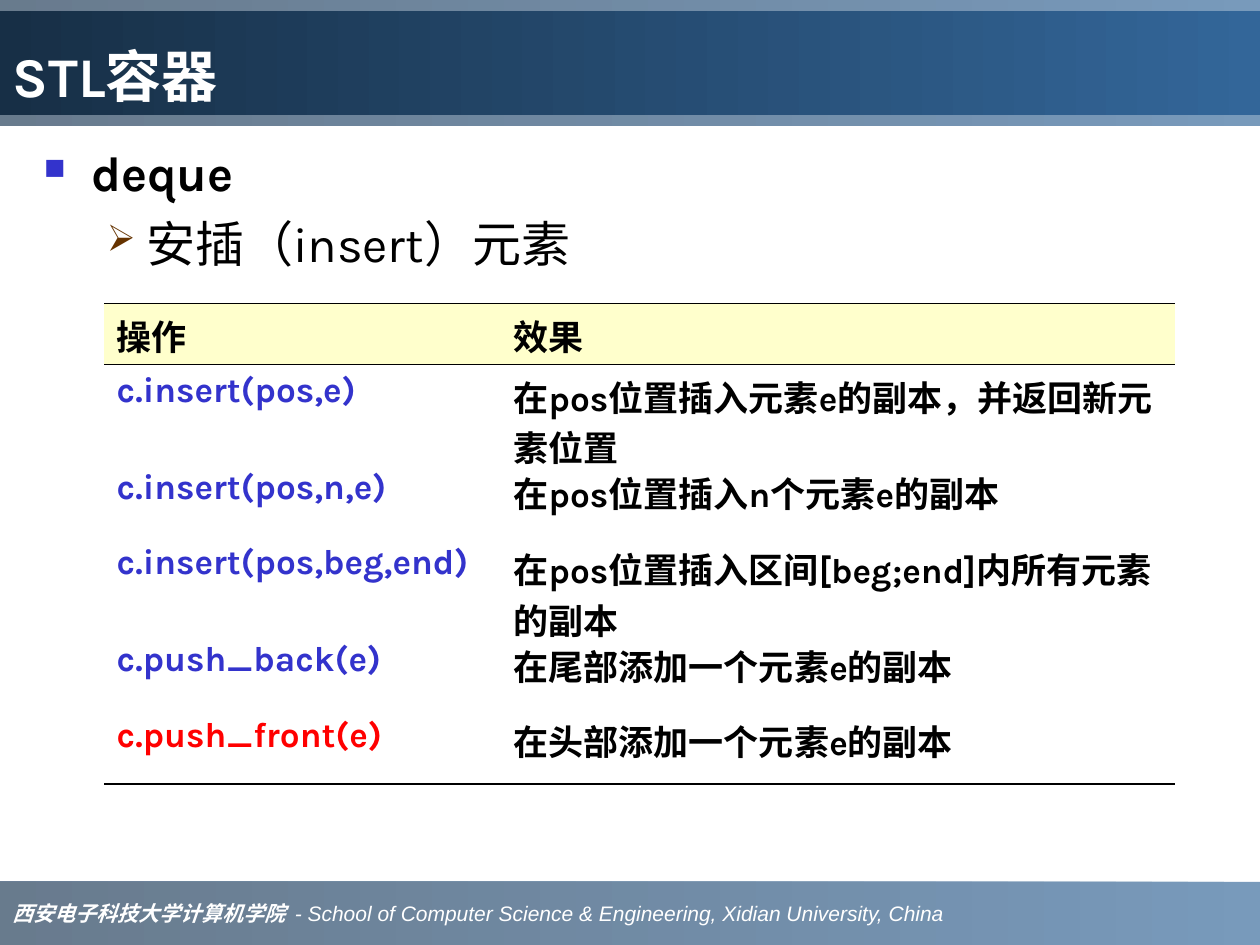
from dataclasses import dataclass

from lxml.etree import SubElement
from pptx import Presentation
from pptx.dml.color import RGBColor
from pptx.enum.shapes import MSO_SHAPE
from pptx.enum.text import MSO_ANCHOR, MSO_AUTO_SIZE, PP_ALIGN
from pptx.oxml.ns import qn
from pptx.util import Pt

WIDTH, HEIGHT = 720, 540


@dataclass(frozen=True)
class Theme:
    font: str = "Karla"
    footer_font: str = "Arial"
    footer_cjk_font: str = "Times New Roman"
    title_size: int = 32
    body_size: int = 28
    table_size: int = 20
    footer_size: int = 12
    white: str = "FFFFFF"
    black: str = "000000"
    blue: str = "3333CC"
    red: str = "FF0000"
    brown: str = "663300"
    header_fill: str = "FFFFCC"
    band_light: str = "336699"
    band_dark: str = "1B3753"
    title_dark: str = "172F46"
    band_opacity: int = 66


@dataclass(frozen=True)
class Bullet:
    character: str
    color: str
    percent: int
    left: float
    hanging: float


class SlideBuilder:
    def __init__(self, slide, theme):
        self.slide = slide
        self.theme = theme

    def add_run(self, paragraph, text, size, color, font=None, bold=True, italic=False):
        run = paragraph.add_run()
        run.text = text
        run.font.name = font or self.theme.font
        run.font.size = Pt(size)
        run.font.bold = bold
        run.font.italic = italic
        run.font.color.rgb = RGBColor.from_string(color)

    def fill_gradient(self, shape, dark, opacity=100):
        """Fade from dark at the left to the light band colour at the right."""
        shape.fill.gradient()
        shape.fill.gradient_angle = 180
        for stop, color in zip(shape.fill.gradient_stops, (self.theme.band_light, dark)):
            stop.color.rgb = RGBColor.from_string(color)
        if opacity < 100:
            for color in shape.element.spPr.iter(qn("a:srgbClr")):
                SubElement(color, qn("a:alpha"), val=str(opacity * 1000))

    def add_band(self, top, height):
        shape = self.slide.shapes.add_shape(
            MSO_SHAPE.RECTANGLE, 0, Pt(top), Pt(WIDTH), Pt(height))
        shape.shadow.inherit = False
        shape.line.fill.background()
        self.fill_gradient(shape, self.theme.band_dark, self.theme.band_opacity)
        return shape

    def add_footer(self, top, height, cjk_text, latin_text):
        frame = self.add_band(top, height).text_frame
        frame.word_wrap = True
        frame.vertical_anchor = MSO_ANCHOR.MIDDLE
        paragraph = frame.paragraphs[0]
        paragraph.alignment = PP_ALIGN.LEFT
        theme = self.theme
        self.add_run(paragraph, cjk_text, theme.footer_size, theme.white,
                     theme.footer_cjk_font, italic=True)
        self.add_run(paragraph, latin_text, theme.footer_size, theme.white,
                     theme.footer_font, bold=False, italic=True)

    def set_title(self, text, top, height):
        """Format the title placeholder and bring it in front of the bands."""
        title = self.slide.shapes.title
        title.left, title.top = Pt(0), Pt(top)
        title.width, title.height = Pt(WIDTH), Pt(height)
        self.fill_gradient(title, self.theme.title_dark)
        frame = title.text_frame
        frame.auto_size = MSO_AUTO_SIZE.NONE
        frame.vertical_anchor = MSO_ANCHOR.BOTTOM
        paragraph = frame.paragraphs[0]
        paragraph.alignment = PP_ALIGN.LEFT
        self.add_run(paragraph, text, self.theme.title_size, self.theme.white)
        title.element.getparent().append(title.element)

    def set_bullet(self, paragraph, bullet):
        properties = paragraph._p.get_or_add_pPr()
        properties.set("marL", str(Pt(bullet.left)))
        properties.set("indent", str(-Pt(bullet.hanging)))
        color = SubElement(properties, qn("a:buClr"))
        SubElement(color, qn("a:srgbClr"), val=bullet.color)
        SubElement(properties, qn("a:buSzPct"), val=str(bullet.percent * 1000))
        SubElement(properties, qn("a:buChar"), char=bullet.character)

    def add_outline(self, left, top, width, height, items):
        """Add bulleted lines given as (text, level, bold, bullet)."""
        box = self.slide.shapes.add_textbox(Pt(left), Pt(top), Pt(width), Pt(height))
        frame = box.text_frame
        frame.word_wrap = True
        for index, (text, level, bold, bullet) in enumerate(items):
            paragraph = frame.add_paragraph() if index else frame.paragraphs[0]
            self.set_bullet(paragraph, bullet)
            paragraph.level = level
            if index:
                paragraph.space_before = Pt(7)
            self.add_run(paragraph, text, self.theme.body_size, self.theme.black, bold=bold)

    def set_borders(self, cell, top=0, bottom=0):
        """Draw the top and bottom edges that have a width; clear all others."""
        properties = cell._tc.get_or_add_tcPr()
        widths = {"a:lnL": 0, "a:lnR": 0, "a:lnT": top, "a:lnB": bottom}
        for position, (tag, width) in enumerate(widths.items()):
            line = SubElement(properties, qn(tag), w=str(Pt(width)))
            properties.insert(position, line)
            if width:
                fill = SubElement(line, qn("a:solidFill"))
                SubElement(fill, qn("a:srgbClr"), val=self.theme.black)
            else:
                SubElement(line, qn("a:noFill"))

    def add_table(self, left, top, column_widths, row_heights, rows):
        """Add a ruled table; each row is (operation, effect, operation colour)."""
        outer_rule, header_rule = 1.08, 0.75
        table = self.slide.shapes.add_table(
            len(rows), len(column_widths), Pt(left), Pt(top),
            Pt(sum(column_widths)), Pt(sum(row_heights))).table
        table.first_row = table.horz_banding = False
        for column, width in zip(table.columns, column_widths):
            column.width = Pt(width)
        last = len(rows) - 1
        top_rules = {0: outer_rule, 1: header_rule}
        bottom_rules = {0: header_rule, last: outer_rule}
        for index, (operation, effect, color) in enumerate(rows):
            table.rows[index].height = Pt(row_heights[index])
            contents = ((operation, color), (effect, self.theme.black))
            for cell, (text, text_color) in zip(table.rows[index].cells, contents):
                if index == 0:
                    cell.fill.solid()
                    cell.fill.fore_color.rgb = RGBColor.from_string(self.theme.header_fill)
                else:
                    cell.fill.background()
                self.set_borders(cell, top_rules.get(index, 0), bottom_rules.get(index, 0))
                self.add_run(cell.text_frame.paragraphs[0], text,
                             self.theme.table_size, text_color)


def main():
    presentation = Presentation()
    presentation.slide_width, presentation.slide_height = Pt(WIDTH), Pt(HEIGHT)
    slide = presentation.slides.add_slide(presentation.slide_layouts.get_by_name("Title Only"))
    theme = Theme()
    builder = SlideBuilder(slide, theme)

    builder.add_footer(504, 36, "西安电子科技大学计算机学院 ",
                       " - School of Computer Science & Engineering, Xidian University, China")
    builder.add_band(0, 72)
    builder.set_title("STL容器", 6, 60)

    square = Bullet("■", theme.blue, 60, 27, 27)
    arrow = Bullet("➢", theme.brown, 75, 58.5, 22.5)
    builder.add_outline(18, 78, 678, 420, [
        ("deque", 0, True, square),
        ("安插（insert）元素", 1, False, arrow),
    ])
    builder.add_table(59.5, 173.5, (226.8, 385.2), (34.6, 48.2, 43.2, 49.7, 43.2, 43.2), [
        ("操作", "效果", theme.black),
        ("c.insert(pos,e)", "在pos位置插入元素e的副本，并返回新元素位置", theme.blue),
        ("c.insert(pos,n,e)", "在pos位置插入n个元素e的副本", theme.blue),
        ("c.insert(pos,beg,end)", "在pos位置插入区间[beg;end]内所有元素的副本", theme.blue),
        ("c.push_back(e)", "在尾部添加一个元素e的副本", theme.blue),
        ("c.push_front(e)", "在头部添加一个元素e的副本", theme.red),
    ])
    presentation.save("out.pptx")


if __name__ == "__main__":
    main()
